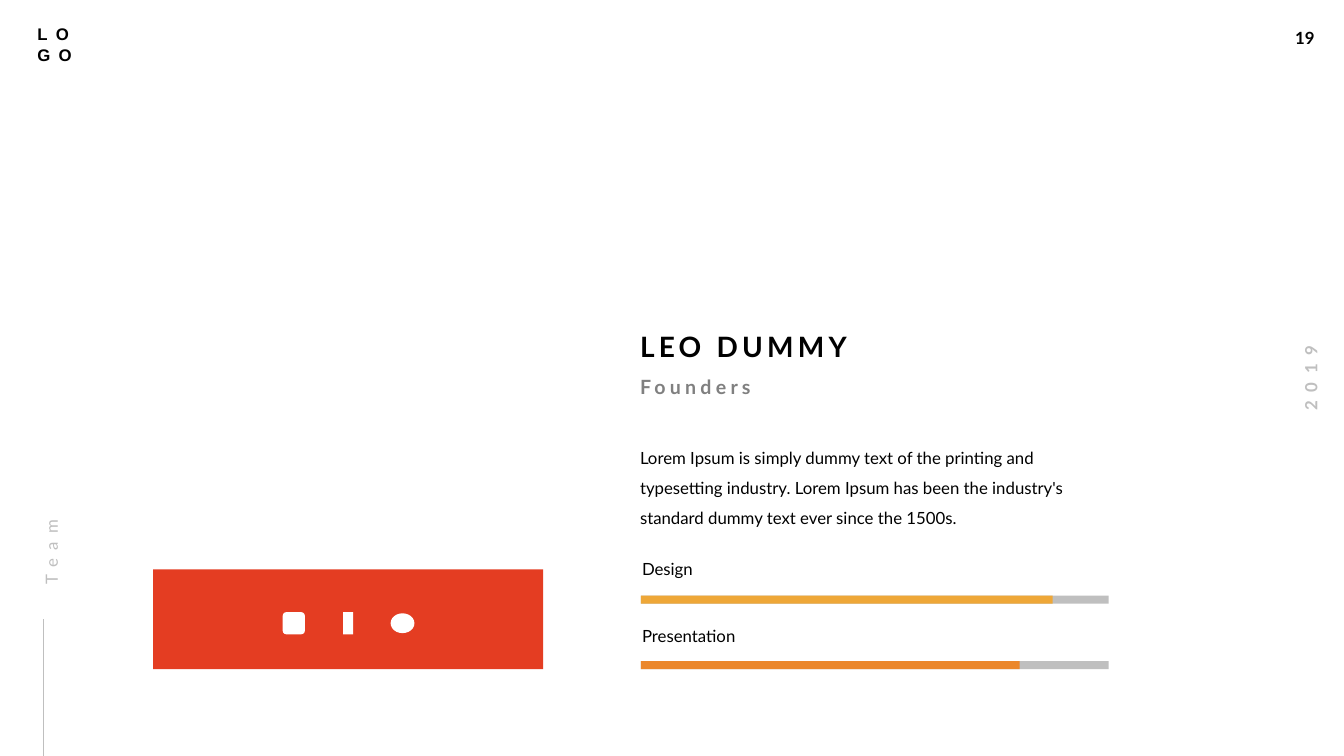
from dataclasses import dataclass

from lxml import etree
from pptx import Presentation
from pptx import util as u
from pptx.dml.color import RGBColor
from pptx.enum import shapes, text
from pptx.oxml import ns


@dataclass(frozen=True)
class Theme:
    font: str = "Lato"
    mark_font: str = "Arial"
    ink: str = "000000"
    subtitle: str = "808080"
    muted: str = "BFBFBF"
    white: str = "FFFFFF"
    red: str = "E43D22"
    amber: str = "EEA738"
    orange: str = "EB872B"
    title_size: int = 20
    subtitle_size: int = 14
    body_size: int = 12


THEME = Theme()
FLUSH = (0, 0, 0.25, 0)
PADDED = (0.25, 0.13, 0.25, 0.13)


def place(shape, box):
    shape.left, shape.top, shape.width, shape.height = map(u.Cm, box)


def write(shape, content, size=THEME.body_size, color=THEME.ink, font=THEME.font,
          bold=False, tracking=0, margins=PADDED, wrap=True, line_spacing=None,
          space_before=0, align=text.PP_ALIGN.LEFT):
    """Fill a text shape and format every run alike."""
    frame = shape.text_frame
    frame.text = content
    frame.word_wrap = wrap
    frame.auto_size = text.MSO_AUTO_SIZE.SHAPE_TO_FIT_TEXT
    frame.vertical_anchor = text.MSO_ANCHOR.TOP
    (frame.margin_left, frame.margin_top,
     frame.margin_right, frame.margin_bottom) = map(u.Cm, margins)
    for paragraph in frame.paragraphs:
        paragraph.alignment = align
        paragraph.space_before = u.Pt(space_before)
        if line_spacing:
            paragraph.line_spacing = line_spacing
        for run in paragraph.runs:
            run.font.name = font
            run.font.size = u.Pt(size)
            run.font.bold = bold
            run.font.color.rgb = RGBColor.from_string(color)
            if tracking:
                run._r.get_or_add_rPr().set("spc", str(tracking * 100))


def add_text(slide, box, content, rotation=0, **style):
    shape = slide.shapes.add_textbox(*map(u.Cm, box))
    write(shape, content, **style)
    place(shape, box)
    shape.rotation = rotation


def add_block(slide, box, color, kind=shapes.MSO_SHAPE.RECTANGLE):
    shape = slide.shapes.add_shape(kind, *map(u.Cm, box))
    shape.shadow.inherit = False
    shape.fill.solid()
    shape.fill.fore_color.rgb = RGBColor.from_string(color)
    shape.line.fill.background()


def add_frame(slide, width, height):
    """Mark, page number, year and section label along the slide edges."""
    add_text(slide, (0.69, 0.48, 1.5, 1.27), "LO\nGO",
             font=THEME.mark_font, bold=True, tracking=6)
    add_text(slide, (width - 1.48, 0.56, 1.04, 0.76), "19", bold=True, wrap=False)
    add_text(slide, (width - 2.02, height / 2 - 0.38, 2.36, 0.76), "2019",
             rotation=270, color=THEME.muted, bold=True, tracking=6, wrap=False,
             align=text.PP_ALIGN.CENTER)
    add_text(slide, (-1.24, 12.04, 4.7, 0.66), "Team", rotation=270,
             color=THEME.muted, tracking=6, margins=FLUSH,
             line_spacing=1.5, space_before=12)
    line = slide.shapes.add_connector(
        shapes.MSO_CONNECTOR.STRAIGHT,
        u.Cm(1.09), u.Cm(height), u.Cm(1.09), u.Cm(15.6))
    line.line.color.rgb = RGBColor.from_string(THEME.muted)
    line.line.width = u.Pt(0.5)
    etree.SubElement(line._element.spPr, ns.qn("a:effectLst"))


def add_social_panel(slide, box):
    """Red panel with a centred row of plain white marks."""
    left, top, width, height = box
    add_block(slide, box, THEME.red)
    kinds = shapes.MSO_SHAPE
    marks = [(kinds.ROUNDED_RECTANGLE, 0.56, 0.56),
             (kinds.RECTANGLE, 0.25, 0.56),
             (kinds.OVAL, 0.6, 0.5)]
    pitch, middle = 1.37, top + height * 0.54
    for index, (kind, mark_width, mark_height) in enumerate(marks):
        center = left + width / 2 + (index - 1) * pitch
        add_block(slide, (center - mark_width / 2, middle - mark_height / 2,
                          mark_width, mark_height), THEME.white, kind)


def add_profile(slide, box):
    """Name, role and short biography."""
    left, top, width, _ = box
    title = slide.shapes.title
    write(title, "LEO DUMMY", size=THEME.title_size, bold=True, tracking=3,
          margins=FLUSH, space_before=12)
    place(title, (left, top, 8.89, 0.86))
    add_text(slide, (left, top + 1.14, 5.36, 0.61), "Founders",
             size=THEME.subtitle_size, color=THEME.subtitle, bold=True,
             tracking=3, margins=FLUSH, space_before=12)
    add_text(slide, (left, top + 2.71, width, 2.21),
             "Lorem Ipsum is simply dummy text of the printing and typesetting "
             "industry. Lorem Ipsum has been the industry's standard dummy text "
             "ever since the 1500s.",
             margins=FLUSH, line_spacing=1.5, space_before=12)


def add_skills(slide, box):
    """Labelled progress bars."""
    left, top, width, _ = box
    skills = [("Design", 0.88, THEME.amber), ("Presentation", 0.81, THEME.orange)]
    for index, (label, share, color) in enumerate(skills):
        add_text(slide, (left - 0.22, top + index * 1.71, 6.07, 0.76), label)
        bar_top = top + 1.07 + index * 1.65
        add_block(slide, (left, bar_top, width, 0.2), THEME.muted)
        add_block(slide, (left, bar_top, width * share, 0.2), color)


def main():
    width, height = 33.87, 19.05
    presentation = Presentation()
    presentation.slide_width = u.Cm(width)
    presentation.slide_height = u.Cm(height)
    slide = presentation.slides.add_slide(
        presentation.slide_layouts.get_by_name("Title Only"))
    add_frame(slide, width, height)
    add_social_panel(slide, (3.86, 14.35, 9.83, 2.51))
    add_profile(slide, (16.13, 8.31, 11.15, 4.92))
    add_skills(slide, (16.15, 13.94, 11.79, 2.92))
    presentation.save("out.pptx")


if __name__ == "__main__":
    main()
